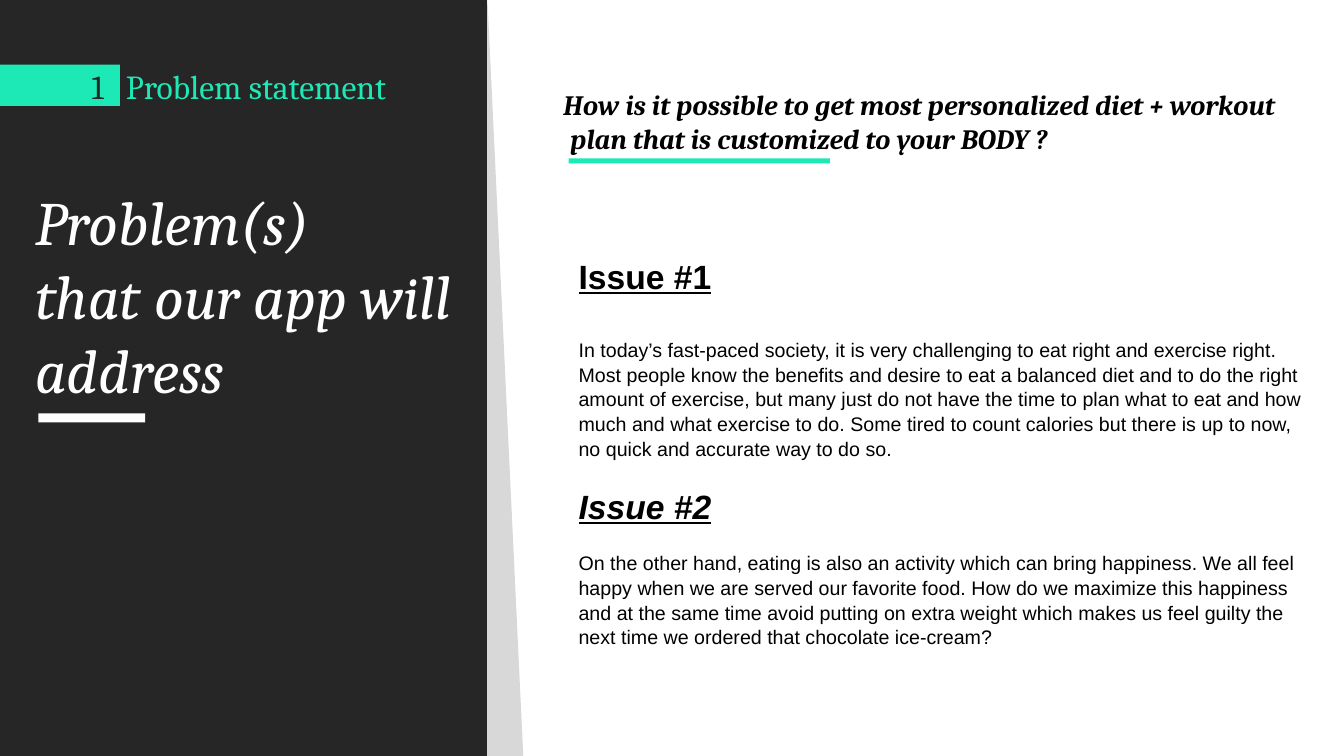
from pptx import Presentation
from pptx.dml.color import RGBColor
from pptx.enum.shapes import MSO_SHAPE as Shape
from pptx.util import Inches, Pt

COLORS = {
    "dark": "262626",
    "gray": "D8D8D8",
    "white": "FFFFFF",
    "black": "000000",
    "accent": "1DE9B6",
}

TITLE = ["Problem(s)", "that our app will address"]
QUESTION = ("How is it possible to get most personalized diet + workout "
            "plan that is customized to your BODY ?")
ISSUE_1 = (
    "In today’s fast-paced society, it is very challenging to eat right and "
    "exercise right. Most people know the benefits and desire to eat a balanced "
    "diet and to do the right amount of exercise, but many just do not have the "
    "time to plan what to eat and how much and what exercise to do. Some tired to "
    "count calories but there is up to now, no quick and accurate way to do so.")
ISSUE_2 = (
    "On the other hand, eating is also an activity which can bring happiness. We "
    "all feel happy when we are served our favorite food. How do we maximize this "
    "happiness and at the same time avoid putting on extra weight which makes us "
    "feel guilty the next time we ordered that chocolate ice-cream?")


def add_block(slide, left, top, width, height, color, kind=Shape.RECTANGLE):
    """Add a plain filled shape without outline."""
    block = slide.shapes.add_shape(
        kind, Inches(left), Inches(top), Inches(width), Inches(height))
    block.shadow.inherit = False
    block.fill.solid()
    block.fill.fore_color.rgb = RGBColor.from_string(COLORS[color])
    block.line.fill.background()


def style(para, size, color, font="Cambria", bold=False, italic=False,
          underline=False):
    """Format every run of a paragraph."""
    for span in para.runs:
        span.font.name = font
        span.font.size = Pt(size)
        span.font.bold = bold
        span.font.italic = italic
        span.font.underline = underline
        span.font.color.rgb = RGBColor.from_string(COLORS[color])


def add_text(slide, left, top, width, height, lines, size, color, **look):
    """Add a wrapping text box, one paragraph per line, and return its paragraphs."""
    box = slide.shapes.add_textbox(
        Inches(left), Inches(top), Inches(width), Inches(height))
    frame = box.text_frame
    frame.word_wrap = True
    frame.text = "\n".join(lines)
    for para in frame.paragraphs:
        style(para, size, color, **look)
    return frame.paragraphs


def add_issues(slide):
    """Add both issues, each a heading above its description."""
    paras = add_text(slide, 5.64, 2.47, 7.42, 3.9,
                     ["Issue #1", ISSUE_1, "Issue #2", ISSUE_2],
                     14, "black", font="Arial")
    for para, gap in zip(paras, (0, 29, 17, 17)):
        para.line_spacing = 1.05
        para.space_before = Pt(gap)
    for heading, italic in ((paras[0], False), (paras[2], True)):
        style(heading, 24, "black", font="Arial", bold=True, italic=italic,
              underline=True)


def main():
    deck = Presentation()
    deck.slide_width, deck.slide_height = Inches(13.33), Inches(7.5)
    slide = deck.slides.add_slide(deck.slide_layouts[6])

    # Dark side panel with its slanted edge
    add_block(slide, 4.48, 0, 0.71, 7.5, "gray", Shape.ISOSCELES_TRIANGLE)
    add_block(slide, 0, 0, 4.83, 7.5, "dark")
    add_text(slide, 0.25, 1.78, 4.73, 2.32, TITLE, 44, "white", italic=True)
    add_block(slide, 0.38, 4.1, 1.06, 0.09, "white")

    # Section number and name
    add_block(slide, 0, 0.64, 1.19, 0.41, "accent")
    add_text(slide, 0.81, 0.6, 0.4, 0.5, ["1"], 24, "dark")
    add_text(slide, 1.15, 0.6, 3.68, 0.5, ["Problem statement"], 24, "accent")

    # Key question, its second line slightly indented
    question = add_text(slide, 5.25, 0.82, 7.81, 1.11, [QUESTION], 20, "black",
                        bold=True, italic=True)[0]
    indents = question._p.get_or_add_pPr()
    indents.set("marL", str(Inches(0.31)))
    indents.set("indent", str(Inches(-0.07)))
    add_block(slide, 5.64, 1.57, 2.59, 0.05, "accent")

    add_issues(slide)
    deck.save("out.pptx")


main()
